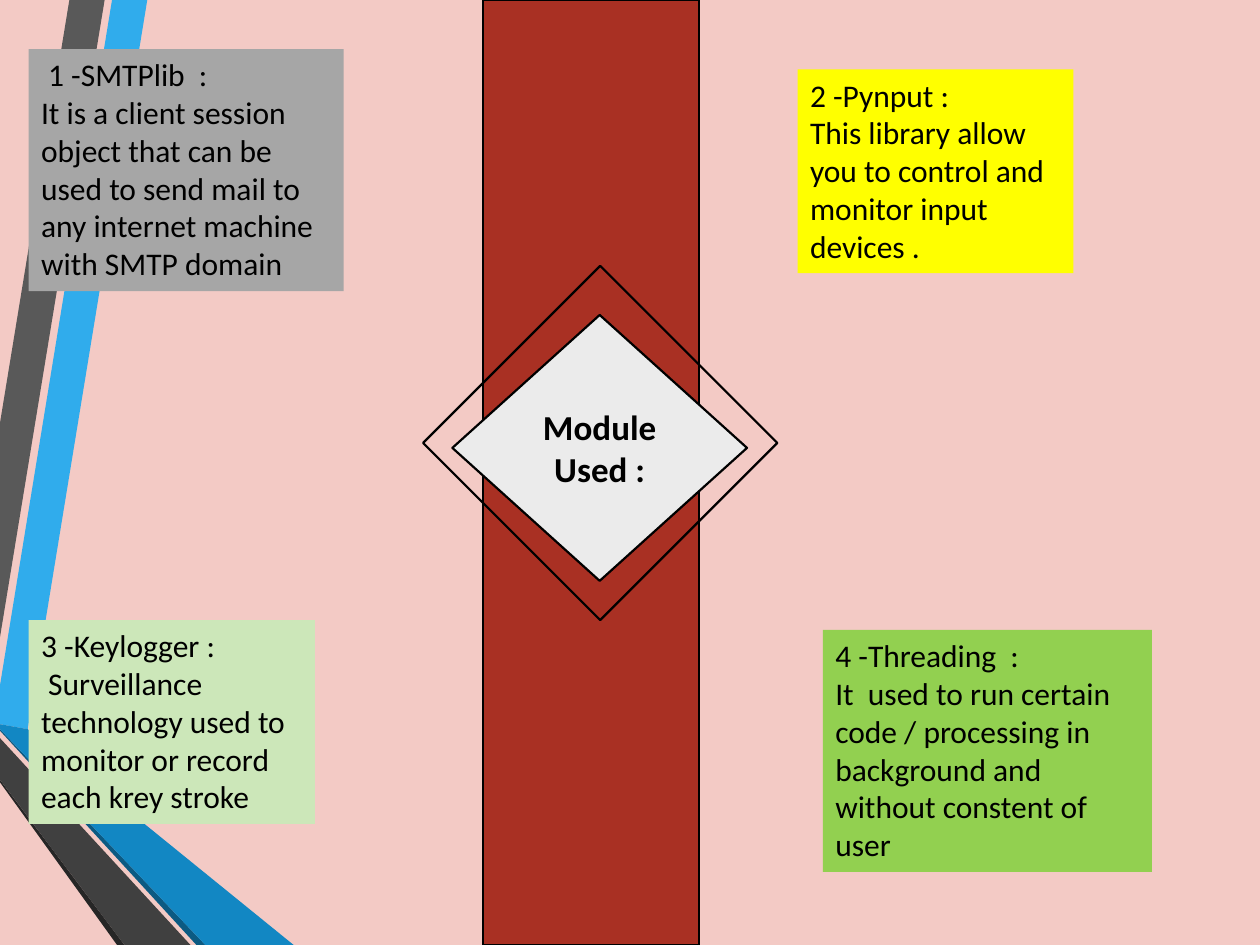
from pptx import Presentation
from pptx.dml.color import RGBColor
from pptx.enum.shapes import MSO_SHAPE as SHAPE
from pptx.enum.text import MSO_ANCHOR, MSO_AUTO_SIZE, PP_ALIGN
from pptx.util import Cm, Pt

COLORS = {
    "background": "F3CAC5", "black": "000000",
    "sky": "30ACEC", "gray": "595959", "charcoal": "262626",
    "navy": "0C5A82", "blue": "1287C3", "graphite": "404040",
    "band": "A93023", "diamond": "EBEBEB",
    "silver": "A6A6A6", "yellow": "FFFF00", "mint": "CCE7B9", "green": "92D050",
}

# Ribbon outlines in cm, measured from the corner of their box
RIBBONS = [
    ("sky", [(0, 13.82), (0, 14.6), (0.56, 14.7), (2.97, 0), (2.26, 0)]),
    ("gray", [(2.11, 0), (1.4, 0), (0, 8.53), (0, 12.85)]),
    ("charcoal", [(0, 15.72), (0, 15.77), (2.36, 19.05), (2.51, 19.05)]),
    ("navy", [(0, 14.7), (0, 14.73), (3.96, 19.05), (4.14, 19.05)]),
    ("blue", [(0, 14.7), (4.14, 19.05), (5.92, 19.05), (0.56, 14.7), (0, 14.6)]),
    ("graphite", [(0, 15.72), (2.51, 19.05), (3.84, 19.05), (0, 14.88)]),
]

# Module cards: box in cm, fill, heading, description
CARDS = [
    ((0.58, 0.99, 6.35, 4.88), "silver", " 1 -SMTPlib  :",
     "It is a client session object that can be used to send mail to any "
     "internet machine with SMTP domain"),
    ((16.08, 1.4, 5.56, 4.11), "yellow", "2 -Pynput :",
     "This library allow you to control and monitor input devices ."),
    ((0.58, 12.5, 5.77, 4.11), "mint", "3 -Keylogger :",
     " Surveillance technology used to monitor or record each krey stroke"),
    ((16.59, 12.7, 6.63, 4.88), "green", "4 -Threading  :",
     "It  used to run certain code / processing in background and without "
     "constent of user"),
]


def rgb(name):
    return RGBColor.from_string(COLORS[name])


def style_shape(sp, fill=None, line=None):
    sp.shadow.inherit = False
    if fill:
        sp.fill.solid()
        sp.fill.fore_color.rgb = rgb(fill)
    else:
        sp.fill.background()
    if line:
        sp.line.color.rgb = rgb(line)
        sp.line.width = Pt(1.25)
    else:
        sp.line.fill.background()


def add_block(s, kind, box, fill=None, line=None):
    sp = s.shapes.add_shape(kind, *map(Cm, box))
    style_shape(sp, fill, line)
    return sp


def write(sp, lines, align, **font):
    tf = sp.text_frame
    tf.word_wrap = True
    for i, line in enumerate(lines):
        p = tf.paragraphs[0] if i == 0 else tf.add_paragraph()
        p.text = line
        p.alignment = align
        for r in p.runs:
            r.font.color.rgb = rgb("black")
            for key, value in {"name": "Calibri", **font}.items():
                setattr(r.font, key, value)
    return tf


def add_ribbons(s, left, top):
    for color, outline in RIBBONS:
        points = [(Cm(left + x), Cm(top + y)) for x, y in outline]
        builder = s.shapes.build_freeform(*points[0])
        builder.add_line_segments(points[1:], close=True)
        style_shape(builder.convert_to_shape(), color)


def add_center(s, left, top, width, height):
    add_block(s, SHAPE.RECTANGLE, (left, top, width, height), "band", "black")
    inner = add_block(s, SHAPE.DIAMOND, (left - 0.61, top + 6.35, 5.94, 5.36),
                      "diamond", "black")
    tf = write(inner, ["Module\vUsed :"], PP_ALIGN.CENTER, size=Pt(20), bold=True)
    tf.vertical_anchor = MSO_ANCHOR.MIDDLE
    add_block(s, SHAPE.DIAMOND, (left - 1.2, top + 5.36, 7.14, 7.14), line="black")


def add_card(s, box, fill, heading, description):
    sp = add_block(s, SHAPE.RECTANGLE, box, fill)
    tf = write(sp, [heading, description], PP_ALIGN.LEFT, size=Pt(18))
    tf.vertical_anchor = MSO_ANCHOR.TOP
    tf.auto_size = MSO_AUTO_SIZE.SHAPE_TO_FIT_TEXT


def main():
    prs = Presentation()
    prs.slide_width, prs.slide_height = Cm(25.4), Cm(19.05)
    s = prs.slides.add_slide(prs.slide_layouts[6])
    s.background.fill.solid()
    s.background.fill.fore_color.rgb = rgb("background")

    # Decorative ribbons on the left edge
    add_ribbons(s, 0, 0)
    # Vertical band with the heading diamond
    add_center(s, 9.73, 0, 4.37, 19.05)
    # Four module descriptions
    for card in CARDS:
        add_card(s, *card)

    prs.save("out.pptx")


if __name__ == "__main__":
    main()
